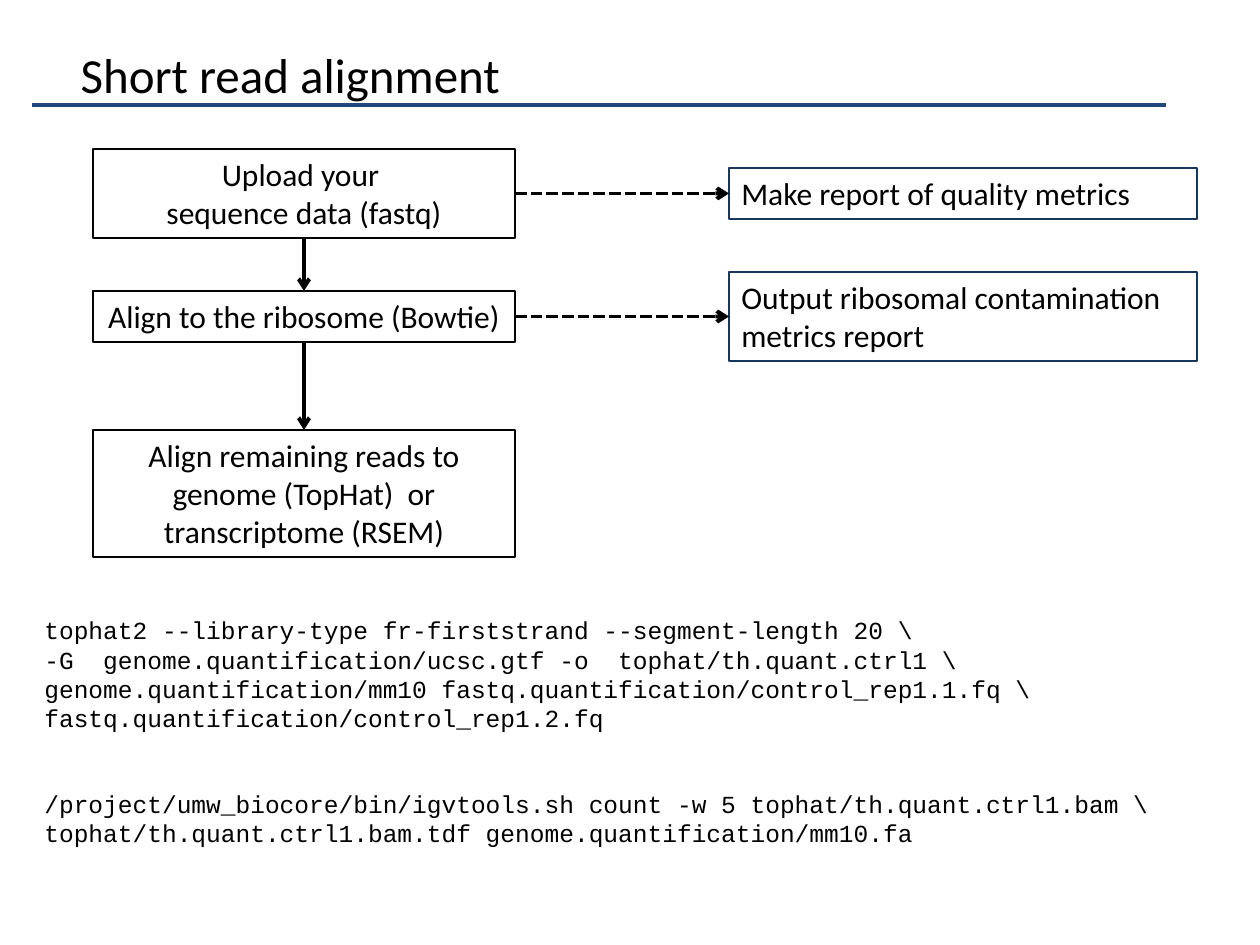
from lxml import etree
from pptx import Presentation, util as u
from pptx.dml.color import RGBColor
from pptx.enum import dml, shapes, text
from pptx.oxml.ns import qn

PX = 914400 // 126  # EMU per px
BLACK = RGBColor(0x00, 0x00, 0x00)
NAVY = RGBColor(0x17, 0x37, 0x5E)
BLUE = RGBColor(0x1F, 0x49, 0x7D)
BOTTOM, RIGHT, TOP, LEFT = 2, 3, 0, 1  # connection sites

COMMANDS = [
    "tophat2 --library-type fr-firststrand --segment-length 20 \\",
    "-G  genome.quantification/ucsc.gtf -o  tophat/th.quant.ctrl1 \\",
    "genome.quantification/mm10 fastq.quantification/control_rep1.1.fq \\",
    "fastq.quantification/control_rep1.2.fq",
    "/project/umw_biocore/bin/igvtools.sh count -w 5 tophat/th.quant.ctrl1.bam \\ "
    "tophat/th.quant.ctrl1.bam.tdf genome.quantification/mm10.fa",
]


def px(*values):
    return [v * PX for v in values]


def set_attrs(obj, **values):
    for name, value in values.items():
        setattr(obj, name, value)


def write(tf, lines, size, font="Calibri", align=text.PP_ALIGN.LEFT):
    for i, line in enumerate(lines):
        p = tf.paragraphs[0] if i == 0 else tf.add_paragraph()
        p.alignment = align
        r = p.add_run()
        r.text = line
        set_attrs(r.font, name=font, size=u.Pt(size))
        r.font.color.rgb = BLACK


def add_title(s, title):
    sp = s.shapes.title
    sp.left, sp.top, sp.width, sp.height = px(68, 28, 1134, 92)
    set_attrs(sp.text_frame, vertical_anchor=text.MSO_ANCHOR.MIDDLE,
              auto_size=text.MSO_AUTO_SIZE.NONE)
    write(sp.text_frame, [title], 28)


def add_box(s, bounds, lines, color, weight, align, wrap=True):
    sp = s.shapes.add_shape(shapes.MSO_SHAPE.RECTANGLE, *px(*bounds))
    sp.shadow.inherit = False
    sp.fill.background()
    sp.line.color.rgb = color
    sp.line.width = u.Pt(weight)
    set_attrs(sp.text_frame, word_wrap=wrap, vertical_anchor=text.MSO_ANCHOR.TOP)
    write(sp.text_frame, lines, 18, align=align)
    return sp


def add_step(s, top, height, lines, wrap=True):
    return add_box(s, (93, top, 422, height), lines, BLACK, 0.75,
                   text.PP_ALIGN.CENTER, wrap)


def add_report(s, top, height, line):
    return add_box(s, (729, top, 468, height), [line], NAVY, 1.5, text.PP_ALIGN.LEFT)


def add_line(s, color, ends=(0, 0, 0, 0)):
    c = s.shapes.add_connector(shapes.MSO_CONNECTOR.STRAIGHT, *px(*ends))
    c.line.color.rgb = color
    c.line.width = u.Pt(2.25)
    etree.SubElement(c._element.spPr, qn("a:effectLst"))
    return c


def add_arrow(s, start, start_site, end, end_site, dashed=False):
    c = add_line(s, BLACK)
    c.begin_connect(start, start_site)
    c.end_connect(end, end_site)
    if dashed:
        c.line.dash_style = dml.MSO_LINE.SQUARE_DOT
    etree.SubElement(c.line._get_or_add_ln(), qn("a:tailEnd"), type="arrow")


def add_commands(s):
    tf = s.shapes.add_textbox(*px(32, 609, 1197, 251)).text_frame
    tf.word_wrap = True
    write(tf, COMMANDS, 14, "Courier New")
    tf.paragraphs[-1].space_before = u.Pt(32)


def main():
    prs = Presentation()
    prs.slide_width, prs.slide_height = u.Inches(10), u.Inches(7.5)
    s = prs.slides.add_slide(prs.slide_layouts[5])

    # Heading and its rule
    add_line(s, BLUE, (32, 105, 1166, 105))
    add_title(s, "Short read alignment")

    # Pipeline steps and their reports
    upload = add_step(s, 149, 89, ["Upload your ", "sequence data (fastq)"])
    ribosome = add_step(s, 291, 51, ["Align to the ribosome (Bowtie)"], wrap=False)
    genome = add_step(s, 430, 127, [
        "Align remaining reads to genome (TopHat)  or transcriptome (RSEM)"])
    quality = add_report(s, 168, 51, "Make report of quality metrics")
    contamination = add_report(s, 272, 89, "Output ribosomal contamination metrics report")

    # Flow between them
    for start, end in ((upload, ribosome), (ribosome, genome)):
        add_arrow(s, start, BOTTOM, end, TOP)
    for start, end in ((upload, quality), (ribosome, contamination)):
        add_arrow(s, start, RIGHT, end, LEFT, dashed=True)

    # Command lines
    add_commands(s)
    prs.save("out.pptx")


if __name__ == "__main__":
    main()
